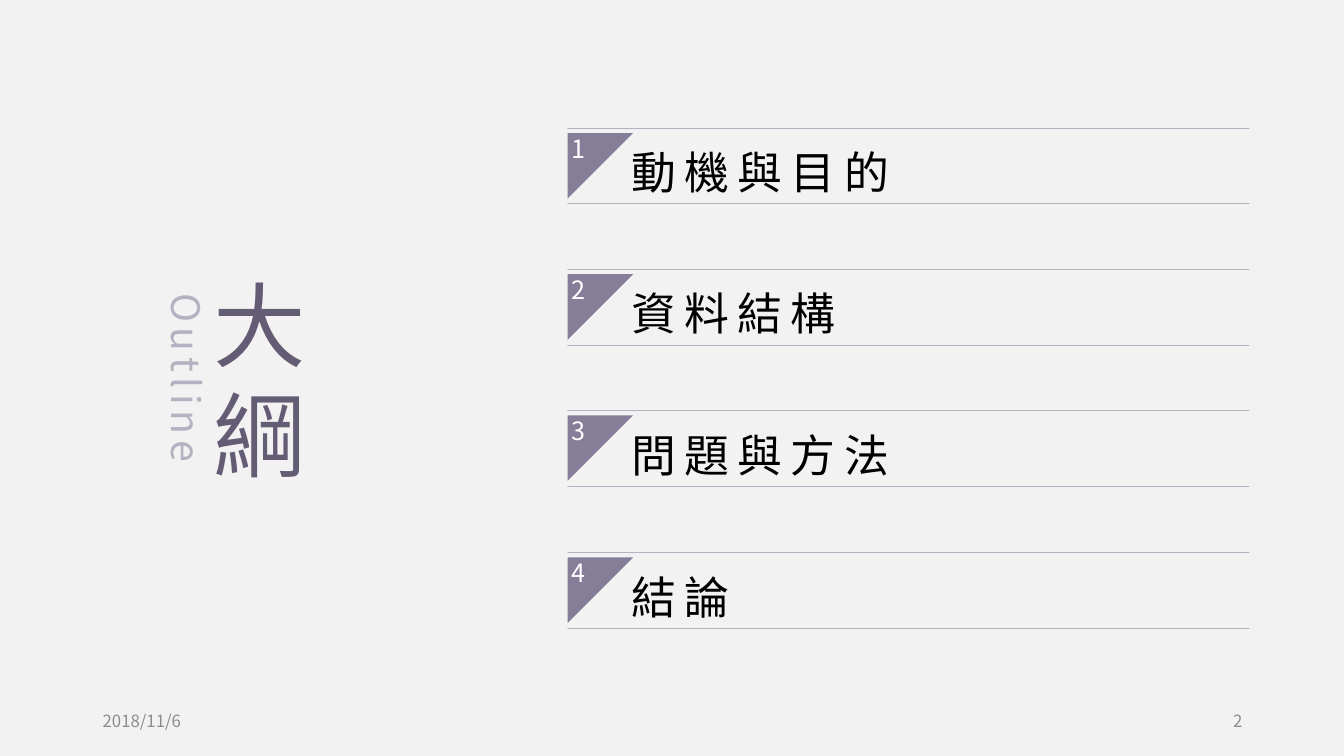
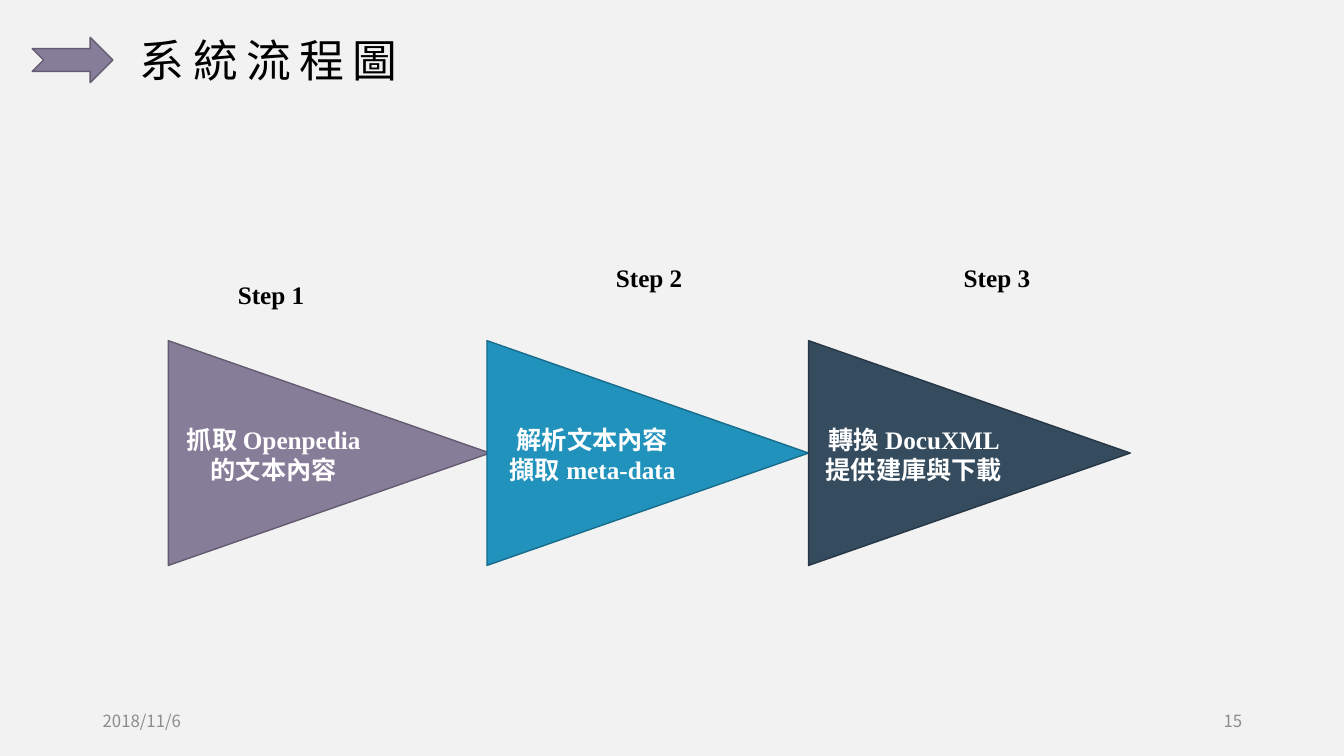
from lxml import etree
from pptx import Presentation
from pptx.dml.color import RGBColor
from pptx.enum.shapes import MSO_SHAPE
from pptx.enum.text import MSO_ANCHOR, PP_ALIGN
from pptx.oxml.ns import qn
from pptx.util import Emu, Pt

SCALE = 9144
SLIDE_WIDTH, SLIDE_HEIGHT = 1333, 750
LEFT, CENTER, RIGHT = PP_ALIGN.LEFT, PP_ALIGN.CENTER, PP_ALIGN.RIGHT
TOP, MIDDLE = MSO_ANCHOR.TOP, MSO_ANCHOR.MIDDLE
TRIANGLE, NOTCHED_ARROW = MSO_SHAPE.ISOSCELES_TRIANGLE, MSO_SHAPE.NOTCHED_RIGHT_ARROW

SANS, SANS_TC = "Noto Sans CJK SC", "Noto Sans CJK TC"
SERIF, DISPLAY = "Times New Roman", "League Spartan"
BACKGROUND, BLACK, WHITE, GRAY = "F2F2F2", "000000", "FFFFFF", "8C8C8C"
PURPLE, PURPLE_EDGE, PURPLE_DARK, LILAC = "867D98", "635C70", "645C74", "B6B1C1"
BLUE, BLUE_EDGE, NAVY, NAVY_EDGE = "2192BC", "186C8B", "354B5E", "273746"

DATE = "2018/11/6"
INSETS = (10, 5, 10, 5)
AGENDA = ["動機與目的", "資料結構", "問題與方法", "結論"]
STEPS = [
    ((167, 338), (226, 272), PURPLE, PURPLE_EDGE,
     [[("抓取 ", SANS), ("Openpedia", SERIF)], [("的文本內容", DISPLAY)]]),
    ((483, 338), (601, 255), BLUE, BLUE_EDGE,
     [[("解析文本內容", DISPLAY)], [("擷取 ", DISPLAY), ("meta-data", SERIF)]]),
    ((802, 338), (946, 255), NAVY, NAVY_EDGE,
     [[("轉換 ", DISPLAY), ("DocuXML", SERIF)], [("提供建庫與下載", DISPLAY)]]),
]


def px(length):
    """Turn px into EMU."""
    return Emu(round(length * SCALE))


def color(hex_string):
    """Turn a hex string into a colour."""
    return RGBColor.from_string(hex_string)


def write(shape, lines, size, ink, bold=False, spacing=0, align=LEFT,
          anchor=TOP, insets=INSETS, line_spacing=None):
    """Fill a shape with paragraphs, each a list of (text, font) runs."""
    frame = shape.text_frame
    frame.word_wrap = True
    frame.vertical_anchor = anchor
    frame.margin_left, frame.margin_top, frame.margin_right, frame.margin_bottom = map(px, insets)
    for index, line in enumerate(lines):
        paragraph = frame.add_paragraph() if index else frame.paragraphs[0]
        paragraph.alignment = align
        if line_spacing:
            paragraph.line_spacing = line_spacing
        for text, font_name in line:
            run = paragraph.add_run()
            run.text = text
            font = run.font
            font.size, font.bold, font.name = Pt(size), bold, font_name
            font.color.rgb = color(ink)
            properties = run._r.get_or_add_rPr()
            etree.SubElement(properties, qn("a:ea")).set("typeface", font_name)
            if spacing:
                properties.set("spc", str(spacing * 100))


def add_text(slide, box, lines, size, ink, **style):
    """Add a text box."""
    shape = slide.shapes.add_textbox(*map(px, box))
    write(shape, lines, size, ink, **style)
    return shape


def paint(shape, fill=None, edge=None, edge_width=1):
    """Set the fill and outline of a shape."""
    shape.shadow.inherit = False
    if fill:
        shape.fill.solid()
        shape.fill.fore_color.rgb = color(fill)
    else:
        shape.fill.background()
    if edge:
        shape.line.color.rgb = color(edge)
        shape.line.width = Pt(edge_width)
    else:
        shape.line.fill.background()


def add_slide(presentation, number):
    """Add a blank slide with the date and slide number."""
    slide = presentation.slides.add_slide(presentation.slide_layouts[6])
    for left, text, align in ((92, DATE, LEFT), (942, number, RIGHT)):
        add_text(slide, (left, 695, 300, 40), [[(text, SANS)]], 12, GRAY,
                 align=align, anchor=MIDDLE)
    return slide


def add_agenda_item(slide, box, number, label):
    """Place a label between two rules, with a numbered corner."""
    left, top, width, height = box
    right, bottom = left + width, top + height
    builder = slide.shapes.build_freeform(left, bottom, scale=SCALE)
    builder.add_line_segments([(right, bottom)])
    builder.move_to(left, top)
    builder.add_line_segments([(right, top)])
    row = builder.convert_to_shape()
    paint(row, edge=LILAC, edge_width=0.25)
    write(row, [[(label, SANS)]], 32, BLACK, spacing=6,
          anchor=MIDDLE, insets=(63, 0, 0, 4), line_spacing=1.3)

    corner_top, side = top + 5, 65
    builder = slide.shapes.build_freeform(left, corner_top, scale=SCALE)
    builder.add_line_segments([(left + side, corner_top), (left, corner_top + side)])
    corner = builder.convert_to_shape()
    paint(corner, PURPLE)
    write(corner, [[(str(number), SANS)]], 18, WHITE, insets=(4, 0, 0, 47))


def add_title(slide, box, title):
    """Place the arrow and the slide title beside it."""
    left, top, width, height = box
    arrow = slide.shapes.add_shape(NOTCHED_ARROW, px(left), px(top + 9), px(80), px(45))
    paint(arrow, PURPLE, PURPLE_EDGE)
    add_text(slide, (left + 97, top, width - 97, height), [[(title, SANS)]],
             32, BLACK, spacing=6)


def add_step(slide, box, fill, edge, lines):
    """Place a triangle pointing right, with its text."""
    left, top, width, height = box
    shift = (width - height) / 2
    triangle = slide.shapes.add_shape(
        TRIANGLE, px(left + shift), px(top - shift), px(height), px(width))
    triangle.rotation = 90
    paint(triangle, fill, edge)
    add_text(slide, (left - 89, top + 78, 387, 71), lines, 18, WHITE,
             bold=True, align=CENTER)


def build_outline(presentation):
    """Build the outline slide."""
    slide = add_slide(presentation, "2")
    for index, label in enumerate(AGENDA):
        top = round(127 + 140.2 * index)
        add_agenda_item(slide, (563, top, 676, 75), index + 1, label)
    add_text(slide, (179, 225, 157, 301), [[("大綱", SANS_TC)]], 66, PURPLE_DARK,
             align=CENTER, anchor=MIDDLE, insets=(0, 0, 0, 0))
    subtitle = add_text(slide, (-17, 346, 404, 57), [[("Outline", SANS)]], 28, LILAC,
                        spacing=4, align=CENTER)
    subtitle.rotation = 90


def build_flow(presentation):
    """Build the system flow slide."""
    slide = add_slide(presentation, "15")
    add_title(slide, (32, 28, 494, 64), "系統流程圖")
    for number, (corner, label_corner, fill, edge, lines) in enumerate(STEPS, 1):
        add_text(slide, (*label_corner, 91, 40), [[(f"Step {number}", SERIF)]],
                 18, BLACK, bold=True)
        add_step(slide, (*corner, 319, 223), fill, edge, lines)


def main():
    """Build and save the presentation."""
    presentation = Presentation()
    presentation.slide_width = px(SLIDE_WIDTH)
    presentation.slide_height = px(SLIDE_HEIGHT)
    background = presentation.slide_master.background.fill
    background.solid()
    background.fore_color.rgb = color(BACKGROUND)
    build_outline(presentation)
    build_flow(presentation)
    presentation.save("out.pptx")


if __name__ == "__main__":
    main()
